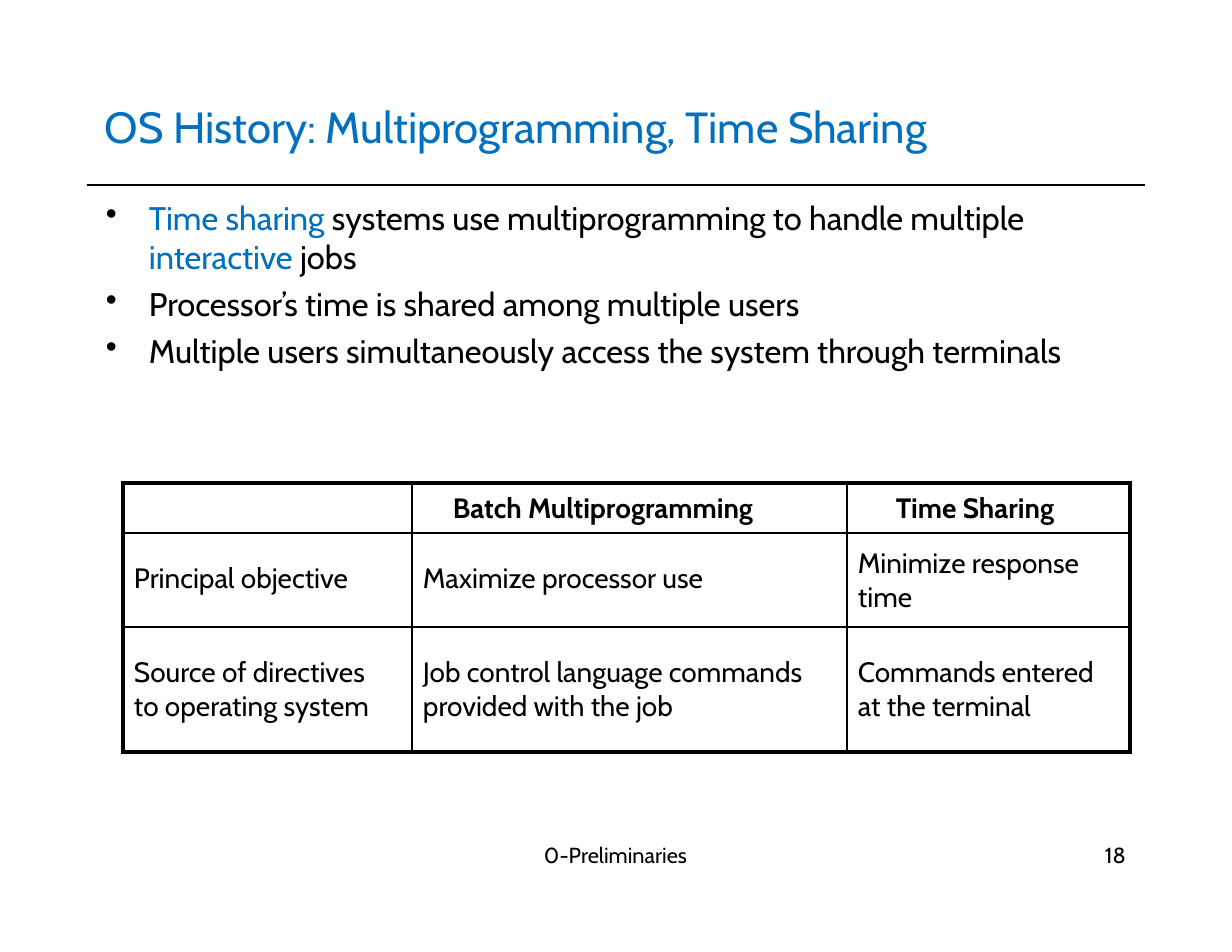
from lxml import etree
from pptx import Presentation
from pptx.dml.color import RGBColor
from pptx.enum.shapes import MSO_SHAPE
from pptx.oxml.ns import qn
from pptx.util import Pt

RECT = MSO_SHAPE.RECTANGLE
BLUE = RGBColor(0x00, 0x70, 0xBF)
BLACK = RGBColor(0, 0, 0)
FONT = "Cabin"
SCALE = 914400 / 112

COLS = [289, 435, 283]
ROWS = [50, 94, 125]
CELLS = [
    [("", 0, 0), ("Batch Multiprogramming", 41, 8), ("Time Sharing", 49, 8)],
    [("Principal objective", 11, 28), ("Maximize processor use", 11, 28),
     ("Minimize response time", 11, 13)],
    [("Source of directives to operating system", 11, 28),
     ("Job control language commands provided with the job", 11, 28),
     ("Commands entered at the terminal", 11, 28)],
]
POINTS = [
    [("Time sharing ", BLUE),
     ("systems use multiprogramming to handle multiple ", BLACK),
     ("interactive ", BLUE), ("jobs", BLACK)],
    [("Processor’s time is shared among multiple users", BLACK)],
    [("Multiple users simultaneously access the system through terminals", BLACK)],
]


def px(n):
    return round(n * SCALE)


def add(node, tag, **attrs):
    return etree.SubElement(node, qn(tag), attrs)


def write(para, text, size=18, color=BLACK, bold=False):
    run = para.add_run()
    run.text = text
    font = run.font
    font.name, font.size, font.bold = FONT, Pt(size), bold
    font.color.rgb = color


def frame(slide, left, top, width, height):
    body = slide.shapes.add_textbox(px(left), px(top), px(width), px(height)).text_frame
    body.word_wrap = True
    body.margin_left = body.margin_right = body.margin_bottom = 0
    body.margin_top = px(1)
    return body


def label(slide, text, box, **style):
    write(frame(slide, *box).paragraphs[0], text, **style)


def bullet(para):
    props = para._p.get_or_add_pPr()
    props.set("marL", str(px(44)))
    props.set("indent", str(px(-43)))
    tint = add(props, "a:buClr")
    add(tint, "a:srgbClr", val=str(BLACK))
    add(props, "a:buChar", char="•")


def points(slide):
    body = frame(slide, 105, 197, 1005, 176)
    for i, parts in enumerate(POINTS):
        para = body.add_paragraph() if i else body.paragraphs[0]
        para.space_before = Pt(5 if i else 1)
        bullet(para)
        for text, color in parts:
            write(para, text, size=21, color=color)


def edge(cell, side, width):
    props = cell._tc.get_or_add_tcPr()
    line = add(props, f"a:ln{side}", w=str(Pt(width)))
    fill = add(line, "a:solidFill")
    add(fill, "a:srgbClr", val=str(BLACK))


def grid(slide):
    table = slide.shapes.add_table(len(ROWS), len(COLS), px(123), px(483),
                                   px(sum(COLS)), px(sum(ROWS))).table
    for col, width in zip(table.columns, COLS):
        col.width = px(width)
    for row, height in zip(table.rows, ROWS):
        row.height = px(height)
    for r, line in enumerate(CELLS):
        for c, (text, left, top) in enumerate(line):
            cell = table.cell(r, c)
            cell.margin_left, cell.margin_top = px(left), px(top)
            cell.margin_right, cell.margin_bottom = px(30), 0
            outer = {"L": c == 0, "R": c == len(COLS) - 1,
                     "T": r == 0, "B": r == len(ROWS) - 1}
            for side, thick in outer.items():
                edge(cell, side, 3 if thick else 1)
            cell.fill.background()
            if text:
                write(cell.text_frame.paragraphs[0], text, bold=r == 0)


def rule(slide):
    bar = slide.shapes.add_shape(RECT, px(87), px(184), px(1058), px(2))
    bar.shadow.inherit = False
    bar.fill.solid()
    bar.fill.fore_color.rgb = BLACK
    bar.line.fill.background()


def main():
    deck = Presentation()
    deck.slide_width, deck.slide_height = px(1232), px(952)
    slide = deck.slides.add_slide(deck.slide_layouts[6])
    rule(slide)
    label(slide, "OS History: Multiprogramming, Time Sharing",
          (105, 99, 866, 55), size=28, color=BLUE)
    label(slide, "0-Preliminaries", (544, 841, 150, 29), size=14)
    label(slide, "18", (1105, 841, 30, 29), size=14)
    points(slide)
    grid(slide)
    deck.save("out.pptx")


if __name__ == "__main__":
    main()
